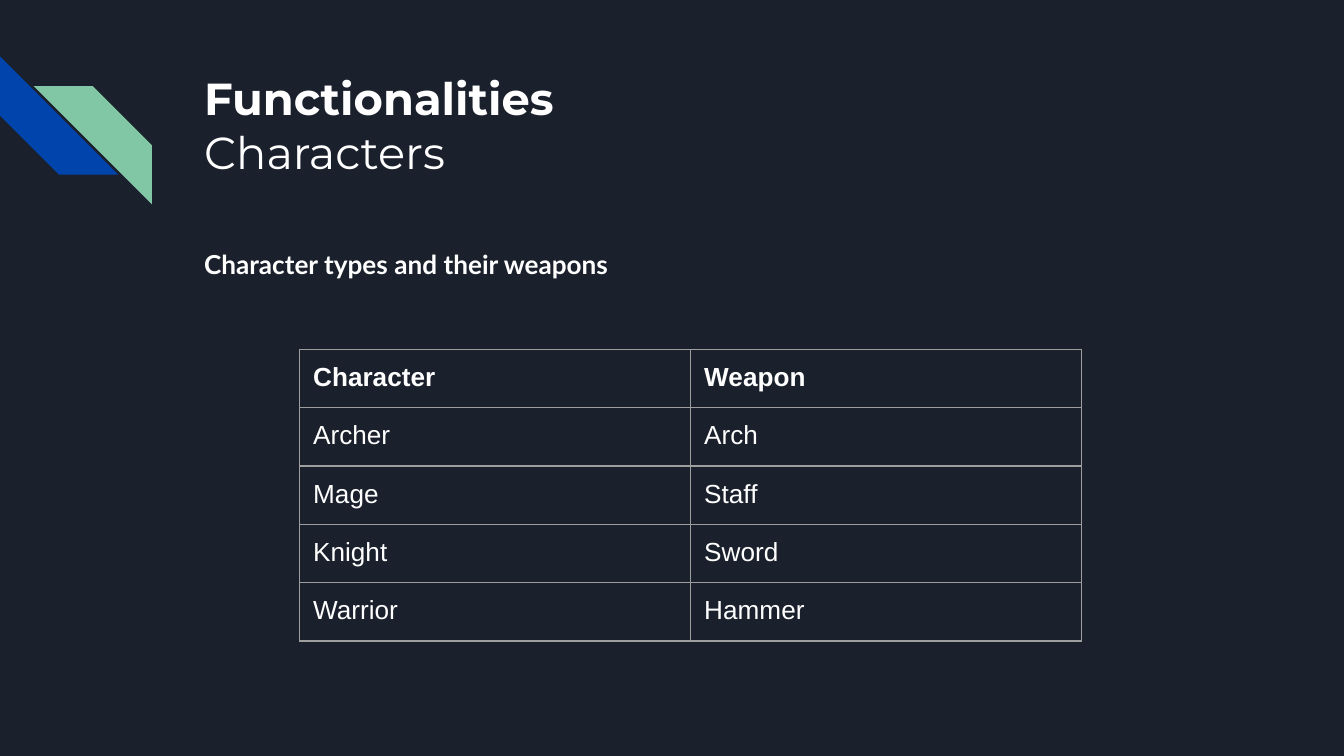
from pptx import Presentation
from pptx.dml.color import RGBColor
from pptx.enum.shapes import MSO_SHAPE
from pptx.oxml import parse_xml
from pptx.oxml.ns import nsdecls
from pptx.util import Inches, Pt

NIGHT = RGBColor(0x1B, 0x21, 0x2C)
BLUE = RGBColor(0x01, 0x45, 0xAC)
GREEN = RGBColor(0x82, 0xC7, 0xA5)
WHITE = RGBColor(0xFF, 0xFF, 0xFF)
GREY = RGBColor(0x9E, 0x9E, 0x9E)

INSET = Inches(0.1)
WEAPONS = [
    ("Character", "Weapon"),
    ("Archer", "Arch"),
    ("Mage", "Staff"),
    ("Knight", "Sword"),
    ("Warrior", "Hammer"),
]


def add_stripe(page, left, top, color):
    size = Inches(0.88)
    stripe = page.shapes.add_shape(
        MSO_SHAPE.DIAGONAL_STRIPE, Inches(left), Inches(top), size, size)
    stripe.adjustments[0] = 0.5
    stripe.shadow.inherit = False
    stripe.fill.solid()
    stripe.fill.fore_color.rgb = color
    stripe.line.fill.background()
    return stripe


def add_span(para, text, font, size, bold):
    span = para.add_run()
    span.text = text
    span.font.name = font
    span.font.size = Pt(size)
    span.font.bold = bold
    span.font.color.rgb = WHITE


def set_insets(holder):
    holder.margin_left = holder.margin_right = INSET
    holder.margin_top = holder.margin_bottom = INSET


def add_text(page, top, height, lines, font, size, spacing=1.0):
    box = page.shapes.add_textbox(
        Inches(1.42), Inches(top), Inches(7.7), Inches(height))
    frame = box.text_frame
    frame.word_wrap = True
    set_insets(frame)
    for index, (text, bold) in enumerate(lines):
        para = frame.add_paragraph() if index else frame.paragraphs[0]
        para.line_spacing = spacing
        add_span(para, text, font, size, bold)


def add_borders(cell):
    properties = cell._tc.get_or_add_tcPr()
    for index, side in enumerate(("lnL", "lnR", "lnT", "lnB")):
        border = parse_xml(
            f'<a:{side} {nsdecls("a")} w="{Pt(0.75)}"><a:solidFill>'
            f'<a:srgbClr val="{GREY}"/></a:solidFill></a:{side}>')
        properties.insert(index, border)


def add_weapon_table(page):
    rows, columns = len(WEAPONS), len(WEAPONS[0])
    column_width, row_height = Inches(2.91), Inches(0.35)
    table = page.shapes.add_table(
        rows, columns, Inches(2.23), Inches(2.6),
        column_width * columns, row_height * rows).table
    table.first_row = False
    table.horz_banding = False
    for row, values in enumerate(WEAPONS):
        for column, value in enumerate(values):
            cell = table.cell(row, column)
            set_insets(cell)
            cell.fill.background()
            add_borders(cell)
            para = cell.text_frame.paragraphs[0]
            add_span(para, value, "Arial", 14, bold=row == 0)


def main():
    # Widescreen page, 16:9
    deck = Presentation()
    deck.slide_width = Inches(10)
    deck.slide_height = deck.slide_width * 9 // 16
    page = deck.slides.add_slide(deck.slide_layouts[6])
    page.background.fill.solid()
    page.background.fill.fore_color.rgb = NIGHT

    # Corner decoration
    add_stripe(page, 0, 0.42, BLUE).rotation = 270
    green_stripe = add_stripe(page, 0.25, 0.64, GREEN)
    green_stripe._element.spPr.xfrm.set("flipH", "1")

    # Title and subtitle
    add_text(page, 0.43, 1,
             [("Functionalities", True), ("Characters", False)],
             "Montserrat", 24)
    add_text(page, 1.71, 3.18, [("Character types and their weapons", True)],
             "Lato", 14, spacing=1.15)

    # Characters and weapons
    add_weapon_table(page)
    deck.save("out.pptx")


if __name__ == "__main__":
    main()
